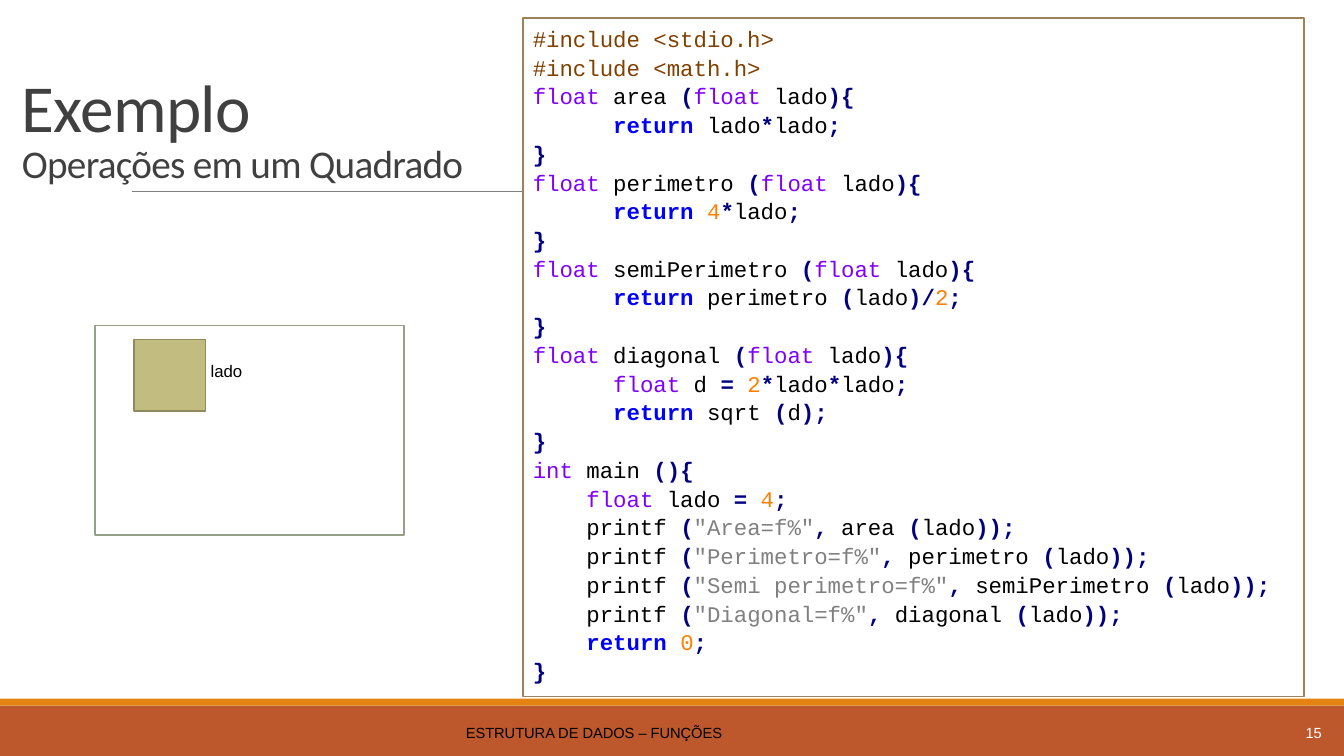
from dataclasses import dataclass
from itertools import groupby
from typing import Iterator, Optional

from pptx import Presentation
from pptx.dml.color import RGBColor
from pptx.enum.shapes import MSO_CONNECTOR, MSO_SHAPE
from pptx.enum.text import MSO_ANCHOR, PP_ALIGN
from pptx.oxml.ns import qn
from pptx.util import Pt
from lxml import etree

WHITE = RGBColor(0xFF, 0xFF, 0xFF)
BLACK = RGBColor(0x00, 0x00, 0x00)
RUST = RGBColor(0xBD, 0x58, 0x2C)
ORANGE = RGBColor(0xE4, 0x83, 0x12)
GRAY = RGBColor(0x80, 0x80, 0x80)
TITLE_GRAY = RGBColor(0x40, 0x40, 0x40)
CODE_BORDER = RGBColor(0x9B, 0x83, 0x57)
FRAME_BORDER = RGBColor(0x94, 0xA0, 0x88)
KHAKI = RGBColor(0xC2, 0xBC, 0x80)
KHAKI_BORDER = RGBColor(0x90, 0x8B, 0x5F)
INCLUDE_BROWN = RGBColor(0x80, 0x40, 0x00)
TYPE_PURPLE = RGBColor(0x80, 0x00, 0xFF)
KEYWORD_BLUE = RGBColor(0x00, 0x00, 0xFF)
OPERATOR_NAVY = RGBColor(0x00, 0x00, 0x80)
NUMBER_ORANGE = RGBColor(0xFF, 0x80, 0x00)

CODE = """\
#include <stdio.h>
#include <math.h>
float area (float lado){
      return lado*lado;
}
float perimetro (float lado){
      return 4*lado;
}
float semiPerimetro (float lado){
      return perimetro (lado)/2;
}
float diagonal (float lado){
      float d = 2*lado*lado;
      return sqrt (d);
}
int main (){
    float lado = 4;
    printf ("Area=f%", area (lado));
    printf ("Perimetro=f%", perimetro (lado));
    printf ("Semi perimetro=f%", semiPerimetro (lado));
    printf ("Diagonal=f%", diagonal (lado));
    return 0;
}"""


@dataclass(frozen=True)
class Box:
    left: float
    top: float
    width: float
    height: float
    fill: Optional[RGBColor] = None
    border: Optional[RGBColor] = None


@dataclass(frozen=True)
class Label:
    box: Box
    text: str
    size: float
    color: RGBColor
    align: PP_ALIGN = PP_ALIGN.LEFT
    anchor: MSO_ANCHOR = MSO_ANCHOR.MIDDLE
    wrap: bool = True


BARS = [Box(0, 504, 960, 36, RUST), Box(0, 499, 960, 5, ORANGE)]
CODE_BOX = Box(373.5, 13, 558, 484.5, WHITE, CODE_BORDER)
SQUARE_DIAGRAM = [
    Box(67.7, 232.6, 221, 149.5, WHITE, FRAME_BORDER),
    Box(95.8, 242.6, 51, 51, KHAKI, KHAKI_BORDER),
]
SIDE_LABEL = Label(Box(143.3, 254.2, 37.4, 21.6), "lado", 12, BLACK,
                   anchor=MSO_ANCHOR.TOP, wrap=False)
FOOTER = [
    Label(Box(8.6, 508.6, 831.6, 28.8), "ESTRUTURA DE DADOS – FUNÇÕES", 10.5, BLACK,
          PP_ALIGN.CENTER),
    Label(Box(848.2, 508.6, 103, 28.8), "15", 10.5, WHITE, PP_ALIGN.RIGHT),
]


def add_box(shapes, box: Box):
    shape = shapes.add_shape(MSO_SHAPE.RECTANGLE, Pt(box.left), Pt(box.top),
                             Pt(box.width), Pt(box.height))
    shape.shadow.inherit = False
    shape.fill.solid()
    shape.fill.fore_color.rgb = box.fill
    if box.border is None:
        shape.line.fill.background()
    else:
        shape.line.color.rgb = box.border
        shape.line.width = Pt(1.25)
    return shape


def add_run(paragraph, text: str, font: str, size: float, color: RGBColor,
            bold: bool = False):
    run = paragraph.add_run()
    run.text = text
    run.font.name = font
    run.font.size = Pt(size)
    run.font.color.rgb = color
    run.font.bold = bold
    return run


def add_text_frame(shapes, box: Box, anchor: MSO_ANCHOR, wrap: bool = True):
    shape = shapes.add_textbox(Pt(box.left), Pt(box.top), Pt(box.width), Pt(box.height))
    shape.text_frame.word_wrap = wrap
    shape.text_frame.vertical_anchor = anchor
    return shape.text_frame


def add_label(shapes, label: Label) -> None:
    paragraph = add_text_frame(shapes, label.box, label.anchor, label.wrap).paragraphs[0]
    paragraph.alignment = label.align
    add_run(paragraph, label.text, "Arial", label.size, label.color)


def add_title(shapes) -> None:
    paragraph = add_text_frame(shapes, Box(8.6, 22.3, 943, 114.5),
                               MSO_ANCHOR.BOTTOM).paragraphs[0]
    paragraph.line_spacing = 0.85
    heading = add_run(paragraph, "Exemplo", "Calibri", 48, TITLE_GRAY)
    paragraph.add_line_break()
    subtitle = add_run(paragraph, "Operações em um Quadrado", "Calibri", 28, TITLE_GRAY)
    for run in (heading, subtitle):
        run.font._element.set("spc", "-50")


def add_rule(shapes) -> None:
    rule = shapes.add_connector(MSO_CONNECTOR.STRAIGHT, Pt(94.3), Pt(136.8),
                                Pt(879), Pt(136.8))
    rule.line.color.rgb = GRAY
    rule.line.width = Pt(0.5)
    etree.SubElement(rule._element.spPr, qn("a:effectLst"))


def token_style(token: str) -> tuple[RGBColor, bool]:
    if token in ("float", "int"):
        return TYPE_PURPLE, False
    if token == "return":
        return KEYWORD_BLUE, True
    if token.isdigit():
        return NUMBER_ORANGE, False
    if token.isalnum() or token.isspace():
        return BLACK, False
    return OPERATOR_NAVY, True


def highlight(line: str) -> Iterator[tuple[str, RGBColor, bool]]:
    if line.startswith("#"):
        yield line, INCLUDE_BROWN, False
        return
    for index, part in enumerate(line.split('"')):
        if index % 2:
            yield f'"{part}"', GRAY, False
            continue
        for _, group in groupby(part, lambda char: (char.isalnum(), char.isspace())):
            token = "".join(group)
            yield token, *token_style(token)


def add_code(shapes) -> None:
    text_frame = add_box(shapes, CODE_BOX).text_frame
    text_frame.word_wrap = True
    text_frame.vertical_anchor = MSO_ANCHOR.TOP
    for index, line in enumerate(CODE.splitlines()):
        paragraph = text_frame.add_paragraph() if index else text_frame.paragraphs[0]
        paragraph.alignment = PP_ALIGN.LEFT
        paragraph.line_spacing = 1.07
        for token, color, bold in highlight(line):
            add_run(paragraph, token, "Courier New", 16, color, bold)


def main() -> None:
    presentation = Presentation()
    presentation.slide_width, presentation.slide_height = Pt(960), Pt(540)
    slide = presentation.slides.add_slide(presentation.slide_layouts[6])

    # Bottom bars, rule and title
    for bar in BARS:
        add_box(slide.shapes, bar)
    add_rule(slide.shapes)
    add_title(slide.shapes)

    # Footer
    for label in FOOTER:
        add_label(slide.shapes, label)

    # Program listing
    add_code(slide.shapes)

    # Square with its side
    diagram = slide.shapes.add_group_shape()
    for box in SQUARE_DIAGRAM:
        add_box(diagram.shapes, box)
    add_label(diagram.shapes, SIDE_LABEL)

    presentation.save("out.pptx")


if __name__ == "__main__":
    main()
